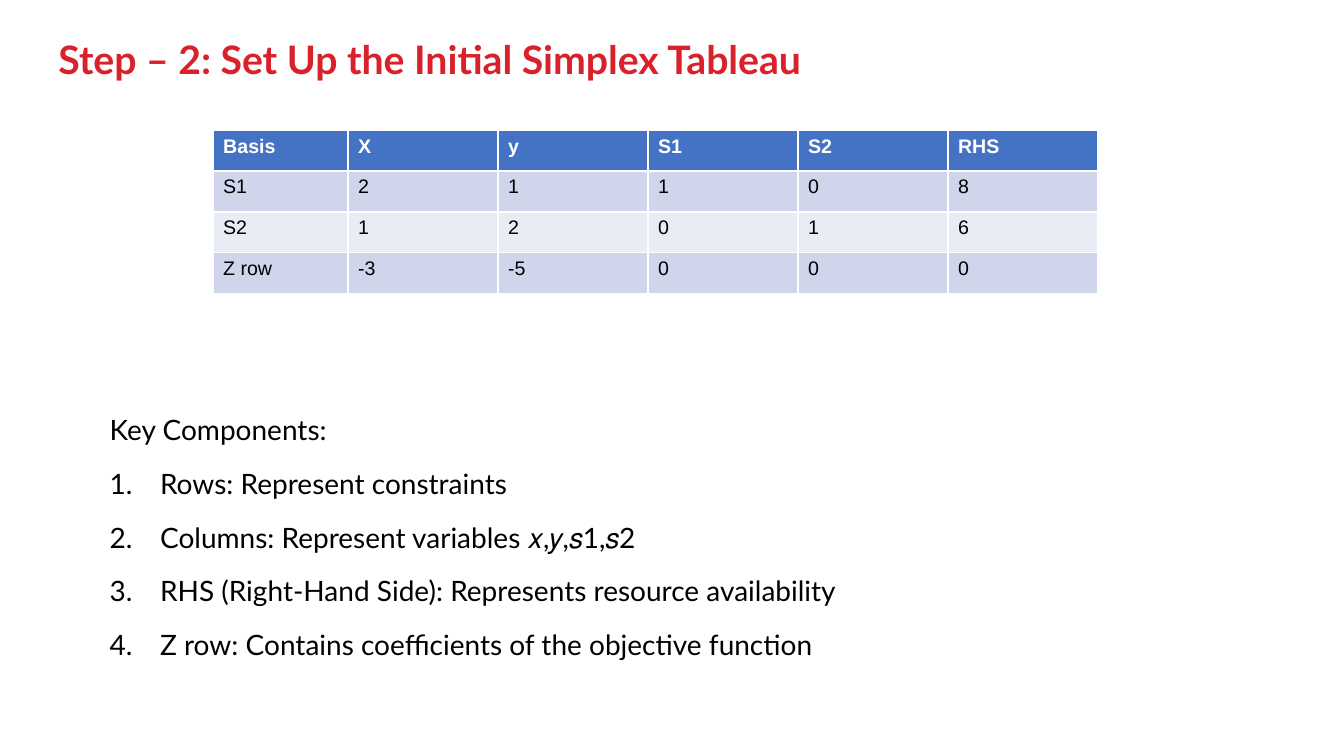
from lxml.etree import SubElement
from pptx import Presentation
from pptx.dml.color import RGBColor
from pptx.enum.text import MSO_ANCHOR, MSO_AUTO_SIZE, PP_ALIGN
from pptx.oxml.ns import qn
from pptx.util import Cm, Pt

COLORS = {
    "title": "D9212B",
    "text": "000000",
    "header": "4472C4",
    "header_text": "FFFFFF",
    "odd_row": "CFD5EA",
    "even_row": "E9EBF5",
}
TABLEAU = [
    ["Basis", "X", "y", "S1", "S2", "RHS"],
    ["S1", "2", "1", "1", "0", "8"],
    ["S2", "1", "2", "0", "1", "6"],
    ["Z row", "-3", "-5", "0", "0", "0"],
]
COMPONENTS = [
    "Rows: Represent constraints",
    "Columns: Represent variables 𝑥,𝑦,𝑠1,𝑠2",
    "RHS (Right-Hand Side): Represents resource availability",
    "Z row: Contains coefficients of the objective function",
]


def color(key):
    return RGBColor.from_string(COLORS[key])


def set_font(paragraph, name, size, color_key, bold=False):
    font = paragraph.font
    font.name, font.size, font.bold = name, Pt(size), bold
    font.color.rgb = color(color_key)


def place(shape, left, top, width, height):
    shape.left, shape.top = Cm(left), Cm(top)
    shape.width, shape.height = Cm(width), Cm(height)


def set_numbering(paragraph, numbered):
    properties = paragraph._p.get_or_add_pPr()
    indent = Cm(1.27) if numbered else 0
    properties.set("marL", str(indent))
    properties.set("indent", str(-indent))
    if numbered:
        SubElement(properties, qn("a:buFont"), typeface="+mj-lt")
        SubElement(properties, qn("a:buAutoNum"), type="arabicPeriod")
    else:
        SubElement(properties, qn("a:buNone"))


def fill_title(title):
    place(title, 1.22, 0.61, 29.21, 1.9)
    frame = title.text_frame
    frame.text = "Step – 2: Set Up the Initial Simplex Tableau"
    frame.auto_size = MSO_AUTO_SIZE.NONE
    frame.vertical_anchor = MSO_ANCHOR.MIDDLE
    heading = frame.paragraphs[0]
    heading.alignment = PP_ALIGN.LEFT
    heading.line_spacing = 0.9
    set_font(heading, "Lato", 28, "title", bold=True)


def fill_components(body):
    place(body, 2.51, 3.66, 28.96, 13.79)
    frame = body.text_frame
    frame.text = "\n".join(["Key Components:"] + COMPONENTS)
    frame.auto_size = MSO_AUTO_SIZE.NONE
    frame.vertical_anchor = MSO_ANCHOR.TOP
    frame.margin_top = Cm(6.9)  # keeps the list below the tableau
    for index, line in enumerate(frame.paragraphs):
        line.line_spacing = 0.8
        line.space_before = Pt(19.2 if index else 0)
        set_font(line, "Lato", 20, "text")
        set_numbering(line, numbered=index > 0)


def add_tableau(slide):
    tableau = slide.shapes.add_table(
        len(TABLEAU), len(TABLEAU[0]), Cm(5.37), Cm(3.28), Cm(22.15), Cm(4.12)
    ).table
    for index, column in enumerate(tableau.columns):
        column.width = Cm(3.78 if index else 3.4)
    for row_index, values in enumerate(TABLEAU):
        is_header = row_index == 0
        row_fill = "header" if is_header else "odd_row" if row_index % 2 else "even_row"
        for column_index, value in enumerate(values):
            cell = tableau.cell(row_index, column_index)
            cell.text = value
            cell.fill.solid()
            cell.fill.fore_color.rgb = color(row_fill)
            set_font(cell.text_frame.paragraphs[0], "Arial", 14,
                     "header_text" if is_header else "text", bold=is_header)


def main():
    deck = Presentation()
    deck.slide_width, deck.slide_height = Cm(33.87), Cm(19.05)
    slide = deck.slides.add_slide(deck.slide_layouts[1])

    # Heading
    fill_title(slide.shapes.title)
    # Key components list
    fill_components(slide.placeholders[1])
    # Initial simplex tableau
    add_tableau(slide)

    deck.save("out.pptx")


if __name__ == "__main__":
    main()
